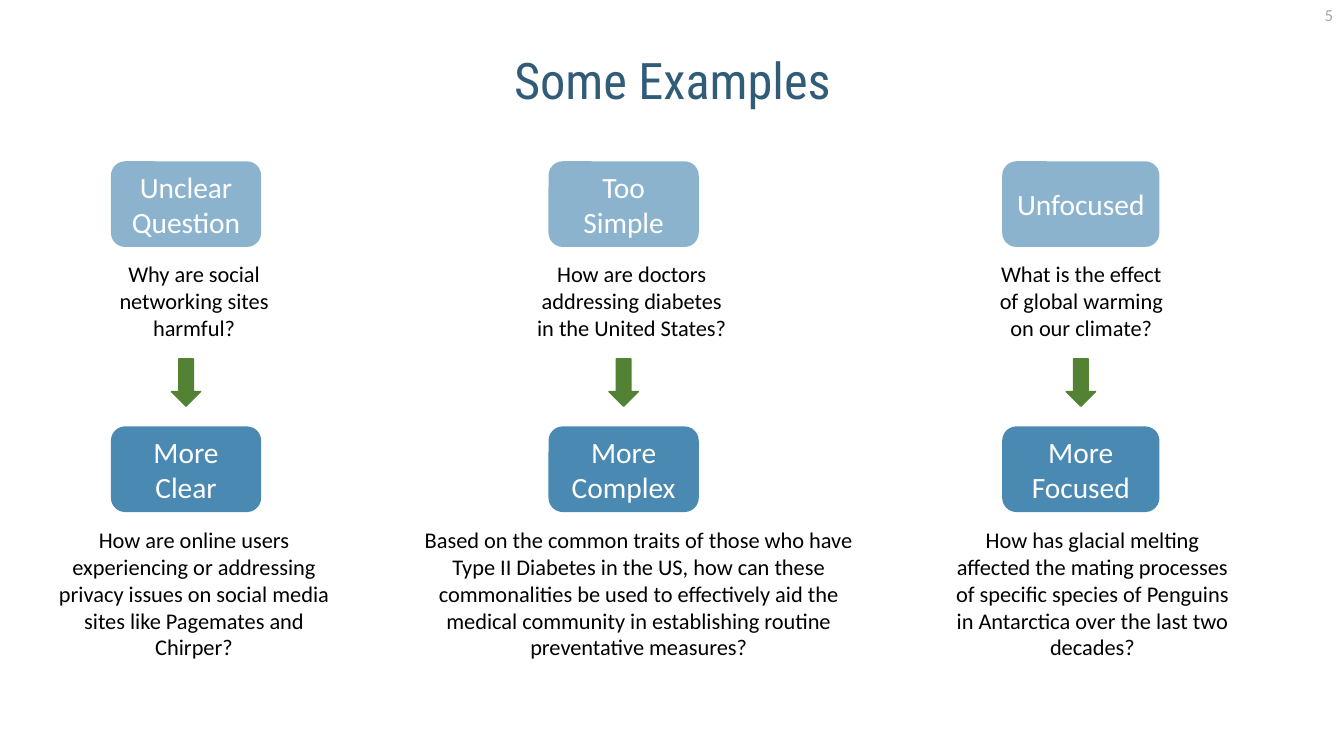
from lxml.etree import SubElement
from pptx import Presentation
from pptx.dml.color import RGBColor
from pptx.enum.shapes import MSO_SHAPE as Preset
from pptx.enum.text import MSO_ANCHOR as Anchor, MSO_AUTO_SIZE as AutoSize, PP_ALIGN as Align
from pptx.oxml.ns import qn
from pptx.util import Inches, Pt

BLUE = "4A89B1"
GREEN = "548235"
ARROW_WIDTH = 0.29

COLUMNS = [
    {
        "label": (1.1, 1.49), "first": (0.99, 1.87), "revised": (0.41, 3.03),
        "problem": "Unclear Question",
        "question": "Why are social networking sites harmful?",
        "fix": "More Clear",
        "better": "How are online users experiencing or addressing privacy issues "
                  "on social media sites like Pagemates and Chirper?",
    },
    {
        "label": (5.44, 1.49), "first": (5.22, 2.09), "revised": (4.1, 4.47),
        "problem": "Too Simple",
        "question": "How are doctors addressing diabetes in the United States?",
        "fix": "More Complex",
        "better": "Based on the common traits of those who have Type II Diabetes "
                  "in the US, how can these commonalities be used to effectively aid the "
                  "medical community in establishing routine preventative measures?",
    },
    {
        "label": (9.94, 1.56), "first": (9.79, 1.87), "revised": (9.32, 3.03),
        "problem": "Unfocused",
        "question": "What is the effect of global warming on our climate?",
        "fix": "More Focused",
        "better": "How has glacial melting affected the mating processes of specific "
                  "species of Penguins in Antarctica over the last two decades?",
    },
]


def rgb(color):
    return RGBColor.from_string(color)


def write(holder, text, size=16, font="Calibri", color="000000",
          align=Align.CENTER, anchor=Anchor.TOP, spacing=None):
    frame = holder.text_frame
    frame.word_wrap = True
    frame.auto_size = AutoSize.NONE
    frame.vertical_anchor = anchor
    paragraph = frame.paragraphs[0]
    paragraph.alignment = align
    paragraph.line_spacing = spacing
    run = paragraph.add_run()
    run.text = text
    run.font.size = Pt(size)
    run.font.name = font
    run.font.color.rgb = rgb(color)


def add_text(slide, text, left, top, width, height, **style):
    box = slide.shapes.add_textbox(Inches(left), Inches(top), Inches(width), Inches(height))
    write(box, text, **style)


def add_filled(slide, preset, left, top, width, height, color):
    shape = slide.shapes.add_shape(
        preset, Inches(left), Inches(top), Inches(width), Inches(height))
    shape.shadow.inherit = False
    shape.fill.solid()
    shape.fill.fore_color.rgb = rgb(color)
    shape.line.fill.background()
    return shape


def add_label(slide, text, left, top, width, opacity=100):
    label = add_filled(slide, Preset.ROUNDED_RECTANGLE, left, top, width, 0.85, BLUE)
    if opacity < 100:
        tint = label.fill._xPr.find(".//" + qn("a:srgbClr"))
        SubElement(tint, qn("a:alpha"), val=str(opacity * 1000))
    write(label, text, size=21, color="FFFFFF", anchor=Anchor.MIDDLE)


def add_down_arrow(slide, center):
    arrow = add_filled(slide, Preset.DOWN_ARROW, center - ARROW_WIDTH / 2, 3.56,
                       ARROW_WIDTH, 0.47, GREEN)
    arrow.line.color.rgb = rgb(GREEN)
    arrow.line.width = Pt(1)


def add_example(slide, column):
    label_left, label_width = column["label"]
    first_left, first_width = column["first"]
    revised_left, revised_width = column["revised"]
    add_label(slide, column["problem"], label_left, 1.6, label_width, opacity=64)
    add_text(slide, column["question"], first_left, 2.53, first_width, 1.26)
    add_label(slide, column["fix"], label_left, 4.23, label_width)
    add_text(slide, column["better"], revised_left, 5.17, revised_width, 1.45)
    add_down_arrow(slide, label_left + label_width / 2)


def add_title(slide, text):
    title = slide.shapes.title
    title.left, title.top = Inches(0.92), Inches(0.4)
    title.width, title.height = Inches(11.5), Inches(0.85)
    write(title, text, size=36, font="Roboto Condensed", color="315C77",
          anchor=Anchor.MIDDLE, spacing=0.9)


def main():
    deck = Presentation()
    deck.slide_width, deck.slide_height = Inches(13.33), Inches(7.5)
    slide = deck.slides.add_slide(deck.slide_layouts[5])
    add_text(slide, "5", 12.88, 0, 0.44, 0.4, size=12, color="A6A6A6", align=Align.RIGHT)
    add_title(slide, "Some Examples")
    for column in COLUMNS:
        add_example(slide, column)
    deck.save("out.pptx")


if __name__ == "__main__":
    main()
